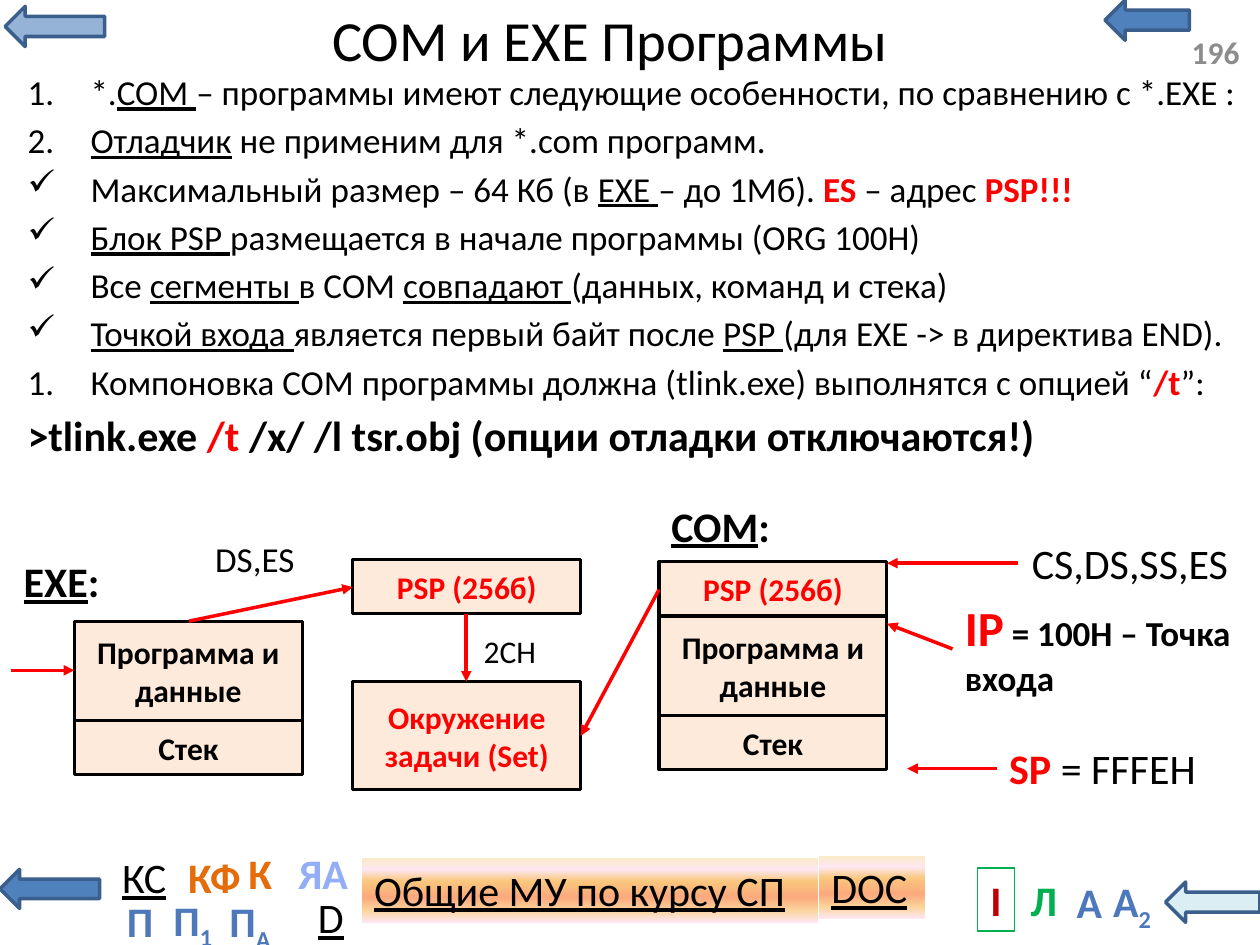
"""Build a slide that compares the structure of COM and EXE programs."""
from lxml.etree import SubElement
from pptx import Presentation
from pptx.dml.color import RGBColor
from pptx.enum.shapes import MSO_CONNECTOR, MSO_SHAPE
from pptx.enum.text import MSO_ANCHOR as Anchor, PP_ALIGN as Align
from pptx.oxml.ns import qn
from pptx.util import Inches, Pt

BLACK = RGBColor(0x00, 0x00, 0x00)
WHITE = RGBColor(0xFF, 0xFF, 0xFF)
RED = RGBColor(0xFF, 0x00, 0x00)
DARK_RED = RGBColor(0xC0, 0x00, 0x00)
GREEN = RGBColor(0x00, 0xB0, 0x50)
ORANGE = RGBColor(0xE4, 0x6C, 0x0A)
GRAY = RGBColor(0x8C, 0x8C, 0x8C)
PEACH = RGBColor(0xFD, 0xEA, 0xDA)
BLUE = RGBColor(0x4F, 0x81, 0xBD)
LIGHT_BLUE = RGBColor(0x95, 0xB3, 0xD7)
PALE_BLUE = RGBColor(0xDB, 0xEE, 0xF4)
EDGE_BLUE = RGBColor(0x3A, 0x5F, 0x8C)
LETTER_BLUE = RGBColor(0x4D, 0x79, 0xBC)
SKY = RGBColor(0x93, 0xAE, 0xF7)
GOLD_STOPS = [(0, "FBEAC7"), (18, "FEE7F2"), (36, "FAC77D"),
              (61, "FBA97D"), (82, "FBD49C"), (100, "FEE7F2")]

NAV_ARROWS = [
    ((8.77, 0, 0.67, 0.32), BLUE),
    ((0, 6.9, 0.79, 0.31), BLUE),
    ((0.04, 0.05, 0.79, 0.32), LIGHT_BLUE),
    ((9.25, 7, 0.75, 0.32), PALE_BLUE),
]
GOLD_LINKS = [
    ((2.87, 6.81, 3.62, 0.51), "Общие МУ по курсу СП"),
    ((6.5, 6.79, 0.84, 0.5), "DOC"),
]
FRAMED_LINKS = [
    ((2.43, 7.03, 0.39, 0.5), "D", "u", BLACK, WHITE),
    ((7.76, 6.89, 0.29, 0.5), "I", "b", DARK_RED, GREEN),
    ((0.83, 6.71, 0.63, 0.5), "КС", "u", BLACK, WHITE),
]
LETTER_LINKS = [
    ((8.44, 6.91, 0.41, 0.5), "А", "", LETTER_BLUE),
    ((1.87, 6.68, 0.39, 0.5), "К", "", ORANGE),
    ((8.08, 6.89, 0.41, 0.5), "Л", "", GREEN),
    ((8.72, 6.9, 0.53, 0.5), "А", "2", LETTER_BLUE),
    ((2.25, 6.68, 0.63, 0.5), "ЯА", "", SKY),
    ((0.91, 7.06, 0.33, 0.5), "П", "", LETTER_BLUE),
    ((1.26, 7.05, 0.54, 0.5), "П", "1", LETTER_BLUE),
    ((1.39, 6.71, 0.62, 0.5), "КФ", "", ORANGE),
    ((1.71, 7.06, 0.55, 0.5), "П", "А", LETTER_BLUE),
]

NUMBER, CHECK = "number", "check"
FEATURES = [
    (NUMBER, 20, [("*.",), ("COM ", "u"),
                  ("– программы имеют следующие особенности, по сравнению с *.EXE :",)]),
    (NUMBER, 20, [("Отладчик", "u"), (" не применим для *.com программ.",)]),
    (CHECK, 20, [("Максимальный размер – 64 Кб (в ",), ("EXE ", "u"), ("– до 1Мб). ",),
                 ("ES", "b", RED), (" – адрес ",), ("PSP!!!", "b", RED)]),
    (CHECK, 20, [("Блок PSP ", "u"), ("размещается в начале программы (ORG 100H)",)]),
    (CHECK, 20, [("Все ",), ("сегменты ", "u"), ("в СОМ ",), ("совпадают ", "u"),
                 ("(данных, команд и стека)",)]),
    (CHECK, 20, [("Точкой входа ", "u"), ("является первый байт после ",), ("PSP ", "u"),
                 ("(для EXE -> в директива END).",)]),
    (NUMBER, 20, [("Компоновка COM программы должна (tlink.exe) выполнятся с опцией “",),
                  ("/t", "b", RED), ("”:",)]),
    (None, 24, [(">tlink.exe ", "b"), ("/t ", "b", RED),
                ("/x/ /l tsr.obj (опции отладки отключаются!)", "b")]),
]

PSP = ("PSP (256б)", 0.43, RED)
PROGRAM = ("Программа и данные", 0.79, BLACK)
STACK = ("Стек", 0.43, BLACK)
ENVIRONMENT = ("Окружение задачи (Set)", 0.86, RED)
BLOCK_WIDTH = 1.81
MEMORY_MAPS = [
    (5.23, 4.46, [PSP, PROGRAM, STACK]),
    (2.8, 4.44, [PSP]),
    (0.59, 4.93, [PROGRAM, STACK]),
    (2.8, 5.41, [ENVIRONMENT]),
]
CAPTIONS = [
    ((7.56, 4.69, 2.44, 0.91), 20, [("IP", "b", RED, 28), (" = 100H – Точка входа", "b")]),
    ((7.91, 5.84, 1.89, 0.5), 24, [("SP", "b", RED), (" = FFFEH",)]),
    ((8.09, 4.22, 1.79, 0.5), 24, [("CS,DS,SS,ES",)]),
    ((5.23, 3.92, 1.26, 0.5), 24, [("COM", "bu"), (":", "b")]),
    ((0.09, 4.36, 1.26, 0.5), 24, [("EXE", "bu"), (":", "b")]),
    ((1.61, 4.22, 1.17, 0.44), 20, [("DS,ES",)]),
    ((3.74, 4.97, 0.62, 0.4), 18, [("2CH",)]),
]
POINTERS = [
    ((7.56, 5.15), (7.04, 4.95)),
    ((7.91, 6.1), (7.2, 6.1)),
    ((8.08, 4.47), (7.04, 4.47)),
    ((1.5, 4.93), (2.8, 4.66)),
    ((3.7, 4.87), (3.7, 5.41)),
    ((5.23, 4.68), (4.61, 5.84)),
    ((0.09, 5.32), (0.59, 5.32)),
]


def add_run(paragraph, size, text, style="", color=BLACK, own_size=None):
    run = paragraph.add_run()
    run.text = text
    font = run.font
    font.name, font.size = "Calibri", Pt(own_size or size)
    font.bold, font.underline = "b" in style, "u" in style
    font.color.rgb = color
    return run


def write(shape, size, runs, align=Align.LEFT, anchor=Anchor.TOP, wrap=True):
    frame = shape.text_frame
    frame.word_wrap, frame.vertical_anchor = wrap, anchor
    paragraph = frame.paragraphs[0]
    paragraph.alignment = align
    return [add_run(paragraph, size, *run) for run in runs]


def add_text(slide, place, size, runs, **layout):
    return write(slide.shapes.add_textbox(*map(Inches, place)), size, runs, **layout)


def add_block(slide, place, fill=None, edge=None, weight=0.75, kind=MSO_SHAPE.RECTANGLE):
    block = slide.shapes.add_shape(kind, *map(Inches, place))
    block.shadow.inherit = False
    if fill is None:
        block.fill.background()
    else:
        block.fill.solid()
        block.fill.fore_color.rgb = fill
    if edge is None:
        block.line.fill.background()
    else:
        block.line.color.rgb = edge
        block.line.width = Pt(weight)
    return block


def fill_gold(block):
    block.fill.gradient()
    block.fill.gradient_angle = 270
    stops = block._element.spPr.find(qn("a:gradFill")).find(qn("a:gsLst"))
    for stop in list(stops):
        stops.remove(stop)
    for position, color in GOLD_STOPS:
        stop = SubElement(stops, qn("a:gs"), pos=str(position * 1000))
        SubElement(stop, qn("a:srgbClr"), val=color)


def add_pointer(slide, start, end):
    pointer = slide.shapes.add_connector(MSO_CONNECTOR.STRAIGHT, *map(Inches, start + end))
    pointer.line.color.rgb = RED
    pointer.line.width = Pt(2)
    SubElement(pointer.line._get_or_add_ln(), qn("a:tailEnd"), type="triangle")
    SubElement(pointer._element.spPr, qn("a:effectLst"))


def add_features(slide):
    frame = slide.shapes.add_textbox(*map(Inches, (0.12, 0.51, 9.88, 3.7))).text_frame
    frame.word_wrap = True
    for index, (marker, size, runs) in enumerate(FEATURES):
        paragraph = frame.add_paragraph() if index else frame.paragraphs[0]
        paragraph.space_before = Pt(size * 0.18 if index else 0)
        if marker:
            props = paragraph._p.get_or_add_pPr()
            props.set("marL", str(Inches(0.5)))
            props.set("indent", str(-Inches(0.5)))
            if marker == NUMBER:
                SubElement(props, qn("a:buAutoNum"), type="arabicPeriod")
            else:
                SubElement(props, qn("a:buChar"), char="✓")
        for run in runs:
            add_run(paragraph, size, *run)


def main():
    deck = Presentation()
    deck.slide_width, deck.slide_height = Inches(10), Inches(7.5)
    slide = deck.slides.add_slide(deck.slide_layouts[6])
    for place, color in NAV_ARROWS:
        add_block(slide, place, color, EDGE_BLUE, 2, MSO_SHAPE.LEFT_ARROW)
    for place, label in GOLD_LINKS:
        link = add_block(slide, place)
        fill_gold(link)
        write(link, 24, [(label, "u")])
    for place, label, style, color, edge in FRAMED_LINKS:
        write(add_block(slide, place, edge=edge), 24, [(label, style, color)],
              align=Align.CENTER, wrap=False)
    for place, letter, index, color in LETTER_LINKS:
        runs = [(part, "b", color) for part in (letter, index) if part]
        for subscript in add_text(slide, place, 24, runs, align=Align.CENTER, wrap=False)[1:]:
            subscript.font._element.set("baseline", "-25000")

    add_text(slide, (2.4, 0.02, 4.88, 0.58), 32.4, [("COM и EXE Программы",)],
             align=Align.CENTER, anchor=Anchor.MIDDLE)
    add_text(slide, (9.36, 0.21, 0.64, 0.4), 18, [("196", "b", GRAY)], anchor=Anchor.MIDDLE)
    add_features(slide)
    for left, top, blocks in MEMORY_MAPS:
        for label, height, color in blocks:
            block = add_block(slide, (left, top, BLOCK_WIDTH, height), PEACH, BLACK, 1.75)
            write(block, 18, [(label, "b", color)], align=Align.CENTER, anchor=Anchor.MIDDLE)
            top += height
    for place, size, runs in CAPTIONS:
        add_text(slide, place, size, runs)
    for start, end in POINTERS:
        add_pointer(slide, start, end)
    deck.save("out.pptx")


if __name__ == "__main__":
    main()
